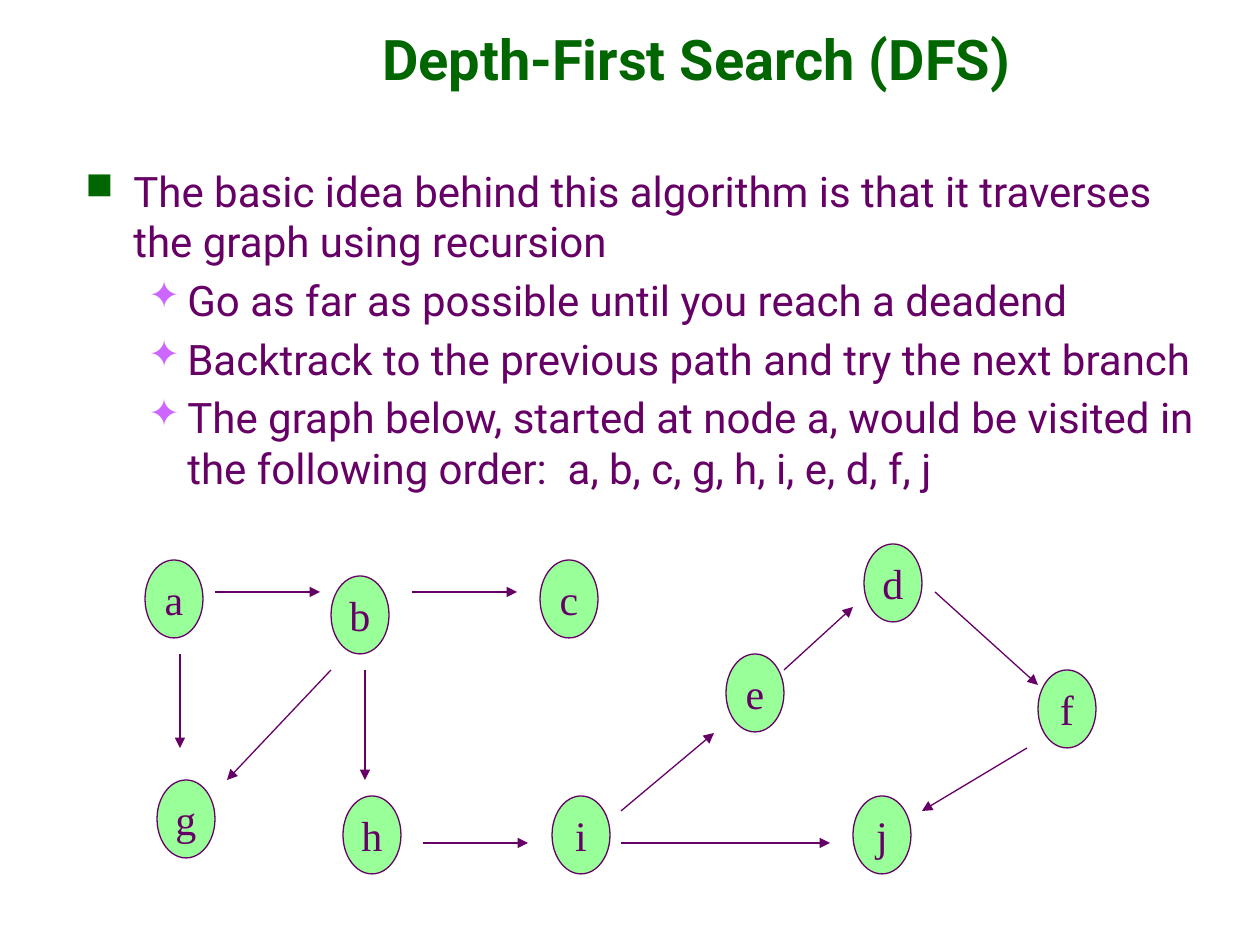
from typing import Any, NamedTuple

from lxml import etree
from pptx import Presentation
from pptx.dml.color import RGBColor
from pptx.enum.shapes import MSO_CONNECTOR, MSO_SHAPE
from pptx.enum.text import MSO_ANCHOR, PP_ALIGN
from pptx.oxml.ns import qn
from pptx.util import Emu, Pt

OVAL = MSO_SHAPE.OVAL
STRAIGHT = MSO_CONNECTOR.STRAIGHT
MIDDLE = MSO_ANCHOR.MIDDLE
CENTER = PP_ALIGN.CENTER

SCALE = 914400 / 126
GREEN, PURPLE, LILAC, MINT = "006600", "660066", "CC66FF", "99FF99"
NODE_W, NODE_H = 58, 78

TITLE_FONT = {"name": "Roboto", "size": Pt(32), "bold": True}
BODY_FONT = {"name": "Roboto", "size": Pt(24)}
NODE_FONT = {"name": "Times New Roman", "size": Pt(24)}


class Level(NamedTuple):
    mark: str
    color: str
    left: int
    hang: int


class Point(NamedTuple):
    text: str
    level: int


class Node(NamedTuple):
    name: str
    x: int
    y: int


class Arrow(NamedTuple):
    x1: int
    y1: int
    x2: int
    y2: int


LEVELS = [Level("■", GREEN, 48, 48), Level("✦", LILAC, 102, 39)]

POINTS = [
    Point("The basic idea behind this algorithm is that it traverses "
          "the graph using recursion", 0),
    Point("Go as far as possible until you reach a deadend", 1),
    Point("Backtrack to the previous path and try the next branch", 1),
    Point("The graph below, started at node a, would be visited in "
          "the following order:  a, b, c, g, h, i, e, d, f, j", 1),
]

NODES = [
    Node("a", 145, 560), Node("b", 331, 576), Node("c", 540, 560),
    Node("d", 864, 544), Node("e", 726, 654), Node("f", 1038, 670),
    Node("g", 157, 780), Node("h", 343, 796), Node("i", 552, 796),
    Node("j", 853, 796),
]

ARROWS = [
    Arrow(215, 592, 320, 592),    # a to b
    Arrow(180, 654, 180, 748),    # a to g
    Arrow(412, 592, 517, 592),    # b to c
    Arrow(331, 670, 227, 780),    # b to g
    Arrow(365, 670, 365, 780),    # b to h
    Arrow(423, 843, 528, 843),    # h to i
    Arrow(621, 811, 714, 733),    # i to e
    Arrow(621, 843, 830, 843),    # i to j
    Arrow(784, 670, 853, 607),    # e to d
    Arrow(935, 592, 1038, 685),   # d to f
    Arrow(1027, 748, 922, 811),   # f to j
]


def px(count: int) -> Emu:
    return Emu(round(count * SCALE))


def rgb(code: str) -> RGBColor:
    return RGBColor.from_string(code)


def apply(target: Any, values: dict) -> None:
    for key, value in values.items():
        setattr(target, key, value)


def write(para: Any, text: str, style: dict, color: str) -> None:
    run = para.add_run()
    run.text = text
    apply(run.font, style)
    run.font.color.rgb = rgb(color)


def stroke(line: Any) -> None:
    line.color.rgb = rgb(PURPLE)
    line.width = Pt(0.75)


def add_mark(para: Any, level: Level) -> None:
    """Give a paragraph its bullet and hanging indent."""
    props = para._p.get_or_add_pPr()
    props.set("marL", str(px(level.left)))
    props.set("indent", str(-px(level.hang)))
    tint = etree.SubElement(props, qn("a:buClr"))
    etree.SubElement(tint, qn("a:srgbClr"), val=level.color)
    etree.SubElement(props, qn("a:buSzPct"), val="90000")
    etree.SubElement(props, qn("a:buChar"), char=level.mark)


def draw_title(slide: Any) -> None:
    title = slide.shapes.title
    apply(title, {"left": px(161), "top": px(0),
                  "width": px(1071), "height": px(116)})
    title.text_frame.vertical_anchor = MIDDLE
    para = title.text_frame.paragraphs[0]
    para.alignment = CENTER
    write(para, "Depth-First Search (DFS)", TITLE_FONT, GREEN)


def draw_points(slide: Any) -> None:
    box = slide.shapes.add_textbox(px(73), px(159), px(1135), px(392))
    frame = box.text_frame
    frame.word_wrap = True
    for index, point in enumerate(POINTS):
        para = frame.add_paragraph() if index else frame.paragraphs[0]
        para.level = point.level
        add_mark(para, LEVELS[point.level])
        if index:
            para.space_before = Pt(4.8)
        write(para, point.text, BODY_FONT, PURPLE)


def draw_node(slide: Any, node: Node) -> None:
    oval = slide.shapes.add_shape(
        OVAL, px(node.x), px(node.y), px(NODE_W), px(NODE_H))
    oval.shadow.inherit = False
    oval.fill.solid()
    oval.fill.fore_color.rgb = rgb(MINT)
    stroke(oval.line)
    apply(oval.text_frame, {"word_wrap": False, "vertical_anchor": MIDDLE})
    para = oval.text_frame.paragraphs[0]
    para.alignment = CENTER
    write(para, node.name, NODE_FONT, PURPLE)


def draw_arrow(slide: Any, arrow: Arrow) -> None:
    link = slide.shapes.add_connector(STRAIGHT, *map(px, arrow))
    stroke(link.line)
    etree.SubElement(link.line._get_or_add_ln(), qn("a:tailEnd"),
                     type="triangle")
    etree.SubElement(link._element.spPr, qn("a:effectLst"))


def main() -> None:
    deck = Presentation()
    apply(deck, {"slide_width": px(1260), "slide_height": px(945)})
    slide = deck.slides.add_slide(deck.slide_layouts[5])
    draw_title(slide)
    draw_points(slide)
    for node in NODES:
        draw_node(slide, node)
    for arrow in ARROWS:
        draw_arrow(slide, arrow)
    deck.save("out.pptx")


if __name__ == "__main__":
    main()
